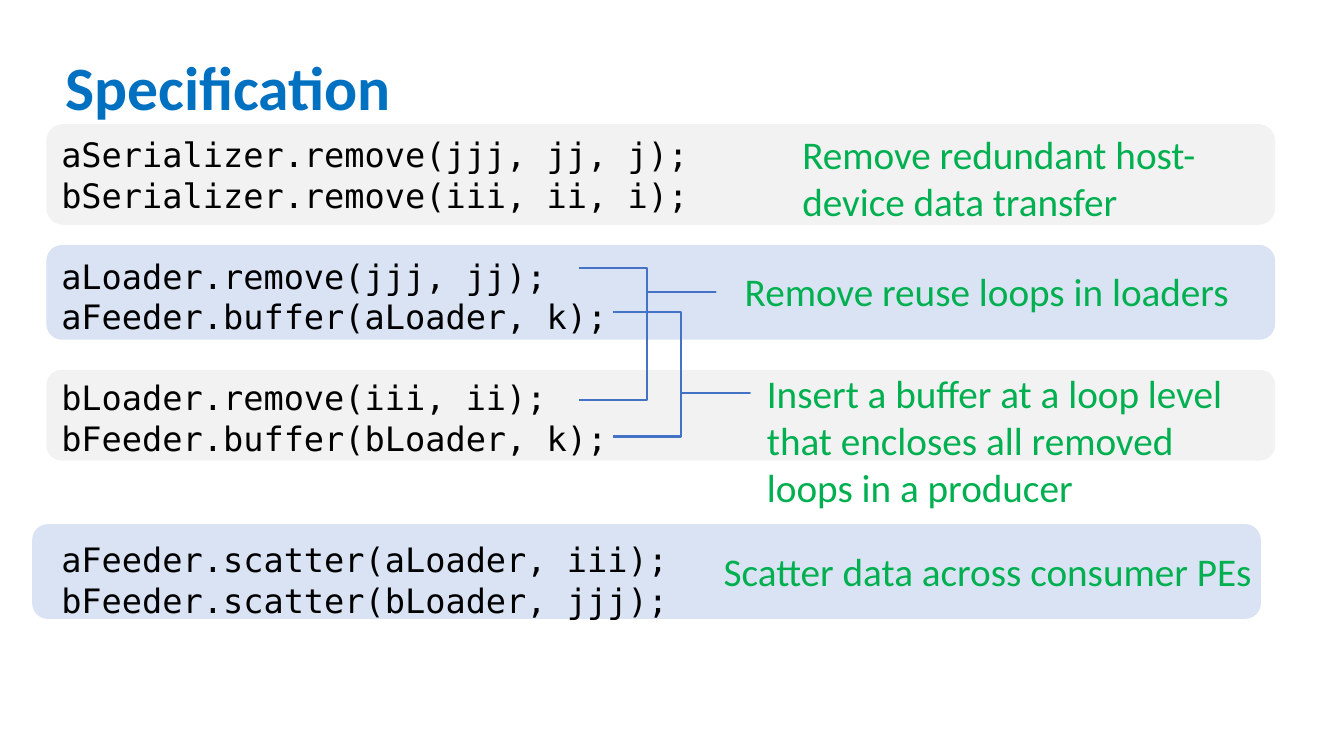
from dataclasses import dataclass
from pptx import Presentation
from pptx.dml.color import RGBColor
from pptx.enum.shapes import MSO_SHAPE as Shape
from pptx.enum.text import MSO_ANCHOR as Anchor
from pptx.util import Pt


@dataclass(frozen=True)
class Theme:
    blue: RGBColor = RGBColor(0x00, 0x70, 0xC0)
    green: RGBColor = RGBColor(0x00, 0xB0, 0x50)
    black: RGBColor = RGBColor(0, 0, 0)
    brace: RGBColor = RGBColor(0x44, 0x72, 0xC4)
    gray_band: RGBColor = RGBColor(0xF2, 0xF2, 0xF2)
    blue_band: RGBColor = RGBColor(0xDA, 0xE3, 0xF3)
    text_font: str = "Calibri"
    code_font: str = "DejaVu Sans Mono"
    title_size: int = 44
    note_size: int = 28
    code_size: int = 24
    code_line: float = 28.9


theme = Theme()
presentation = Presentation()
presentation.slide_width = Pt(960)
presentation.slide_height = Pt(540)
slide = presentation.slides.add_slide(presentation.slide_layouts[6])


def add_text_frame(left, top, width, height):
    text_frame = slide.shapes.add_textbox(Pt(left), Pt(top), Pt(width), Pt(height)).text_frame
    text_frame.word_wrap = True
    return text_frame


def write(paragraph, text, font_name, size, color):
    paragraph.text = text
    paragraph.font.name = font_name
    paragraph.font.size = Pt(size)
    paragraph.font.color.rgb = color


bands = [
    (33.1, 88.6, 72, theme.gray_band),
    (33.1, 175, 67.7, theme.blue_band),
    (33.1, 264.2, 64.8, theme.gray_band),
    (23, 374.4, 67.7, theme.blue_band),
]
for left, top, height, color in bands:
    band = slide.shapes.add_shape(Shape.ROUNDED_RECTANGLE, Pt(left), Pt(top), Pt(877.7), Pt(height))
    band.shadow.inherit = False
    band.fill.solid()
    band.fill.fore_color.rgb = color
    band.line.fill.background()

title_frame = add_text_frame(39.6, 12.2, 828, 104.4)
title_frame.vertical_anchor = Anchor.MIDDLE
title = title_frame.paragraphs[0]
write(title, "Specification", theme.text_font, theme.title_size, theme.blue)
title.font.bold = True
title.line_spacing = 0.9

code_blocks = [
    (0, ["aSerializer.remove(jjj,\u00a0jj,\u00a0j);", "bSerializer.remove(iii,\u00a0ii,\u00a0i);"]),
    (1, ["aLoader.remove(jjj,\u00a0jj);", "aFeeder.buffer(aLoader,\u00a0k);"]),
    (1, ["bLoader.remove(iii,\u00a0ii);", "bFeeder.buffer(bLoader,\u00a0k);"]),
    (2, ["aFeeder.scatter(aLoader,\u00a0iii);", "bFeeder.scatter(bLoader,\u00a0jjj);"]),
]
code_frame = add_text_frame(36.7, 92.2, 854.6, 443.5)
paragraph = code_frame.paragraphs[0]
for gap_lines, code_lines in code_blocks:
    for index, code in enumerate(code_lines):
        if paragraph.text:
            paragraph = code_frame.add_paragraph()
        write(paragraph, code, theme.code_font, theme.code_size, theme.black)
        paragraph.line_spacing = Pt(theme.code_line)
        paragraph.space_before = Pt(0 if index else gap_lines * theme.code_line)

notes = [
    (566, 89.3, 311, 74.9, "Remove redundant host-device data transfer"),
    (524.9, 187.2, 376.6, 41, "Remove reuse loops in loaders"),
    (540.7, 259.9, 344.9, 108.7, "Insert a buffer at a loop level that encloses all removed loops in a producer"),
    (509.8, 387.4, 409, 41, "Scatter data across consumer PEs"),
]
for left, top, width, height, text in notes:
    note_frame = add_text_frame(left, top, width, height)
    write(note_frame.paragraphs[0], text, theme.text_font, theme.note_size, theme.green)

braces = [(413.3, 191.5, 94.3, 0.184), (437.8, 223.2, 88.6, 0.648)]
for left, top, height, point in braces:
    brace = slide.shapes.add_shape(Shape.RIGHT_BRACE, Pt(left), Pt(top), Pt(97.9), Pt(height))
    brace.shadow.inherit = False
    brace.adjustments[0] = 0
    brace.adjustments[1] = point
    brace.fill.background()
    brace.line.color.rgb = theme.brace
    brace.line.width = Pt(1.5)

presentation.save("out.pptx")
